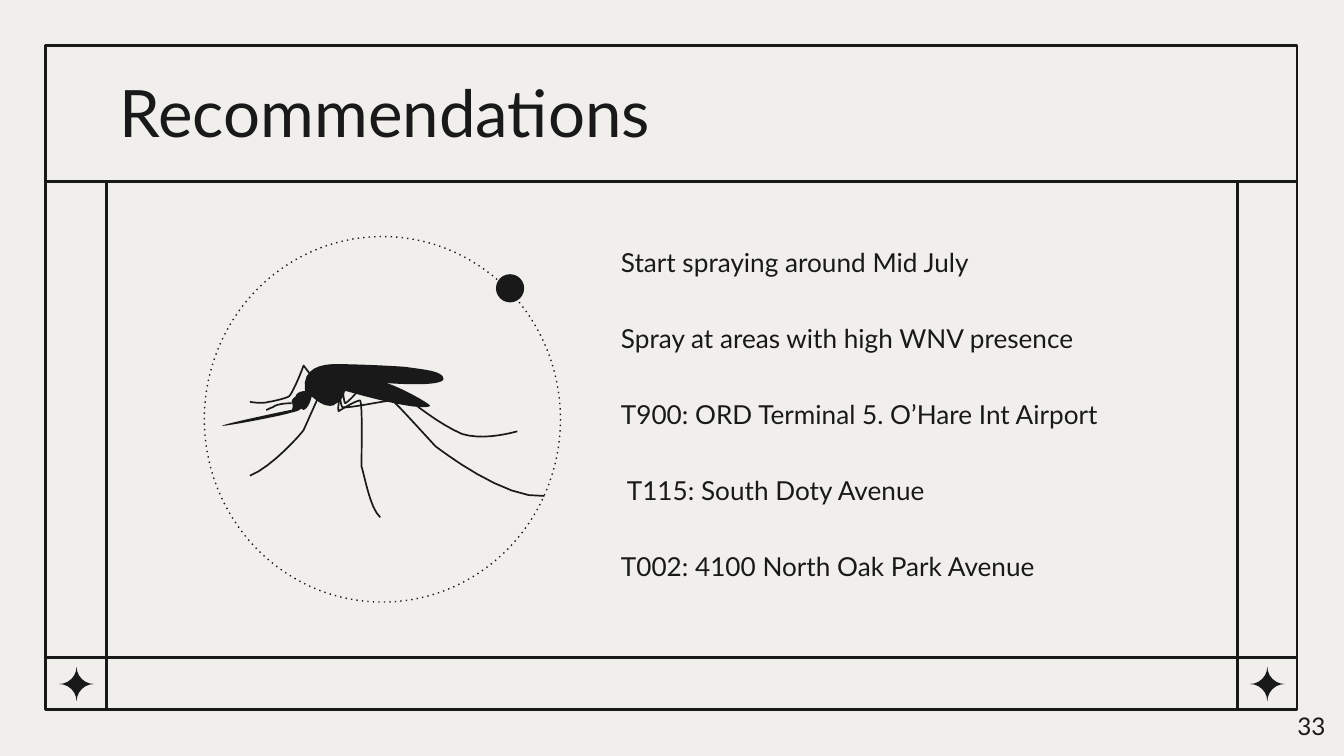
from lxml.etree import SubElement
from pptx import Presentation
from pptx.dml.color import RGBColor as RGB
from pptx.enum.shapes import MSO_CONNECTOR as LINK, MSO_SHAPE as FORM
from pptx.enum.text import MSO_ANCHOR as ANCHOR, MSO_AUTO_SIZE as FIT, PP_ALIGN as ALIGN
from pptx.oxml.ns import qn
from pptx.util import Inches, Pt

HEX = {"paper": "F1EFEC", "ink": "191919"}
INK = RGB.from_string(HEX["ink"])
WIDE = 10
HIGH = WIDE * 9 / 16
COLS = [0.34, 0.79, 9.21, 9.65]
ROWS = [0.34, 1.35, 4.89, 5.28]


def write(shape, box, lines, size, align=ALIGN.LEFT, anchor=ANCHOR.TOP, gap=0):
    shape.left, shape.top, shape.width, shape.height = map(Inches, box)
    frame = shape.text_frame
    frame.word_wrap = True
    frame.auto_size = FIT.NONE
    frame.vertical_anchor = anchor
    frame.margin_left = frame.margin_right = Inches(0.1)
    frame.margin_top = frame.margin_bottom = Inches(0.1)
    frame.text = "\n".join(lines)
    for spot, para in enumerate(frame.paragraphs):
        props = para._p.get_or_add_pPr()
        props.set("marL", "0")
        props.set("indent", "0")
        SubElement(props, qn("a:buNone"))
        para.alignment = align
        para.space_before = Pt(gap if spot else 0)
        for run in para.runs:
            run.font.name = "Lato"
            run.font.size = Pt(size)
            run.font.color.rgb = INK


def trace(shapes, curve, closed):
    nums = [float(num) * Inches(1) for num in curve.split()]
    knots = list(zip(nums[::2], nums[1::2]))
    dots = []
    for at in range(0, len(knots) - 1, 3):
        a, b, c, d = knots[at:at + 4]
        for step in range(1, 9):
            t = step / 8
            u = 1 - t
            dots.append([u**3 * i + 3 * u * u * t * j + 3 * u * t * t * k + t**3 * m
                         for i, j, k, m in zip(a, b, c, d)])
    pen = shapes.build_freeform(*knots[0])
    pen.add_line_segments(dots, close=closed)
    shape = pen.convert_to_shape()
    shape.shadow.inherit = False
    return shape


deck = Presentation()
deck.slide_width, deck.slide_height = Inches(WIDE), Inches(HIGH)
slide = deck.slides.add_slide(deck.slide_layouts[1])
slide.background.fill.solid()
slide.background.fill.fore_color.rgb = RGB.from_string(HEX["paper"])
shapes = slide.shapes

write(shapes.title, (COLS[1], 0.59, 8.43, 0.47), ["Recommendations"], 35,
      anchor=ANCHOR.MIDDLE)
advice = [
    "Start spraying around Mid July",
    "Spray at areas with high WNV presence",
    "T900: ORD Terminal 5. O’Hare Int Airport",
    " T115: South Doty Avenue",
    "T002: 4100 North Oak Park Avenue",
]
write(slide.placeholders[1], (4.52, 1.73, 4.29, 2.78), advice, 14, gap=24)

rules = [(COLS[0], row, COLS[3], row) for row in ROWS[1:3]]
rules += [(col, top, col, end) for col in COLS[1:3]
          for top, end in zip(ROWS[1:], ROWS[2:])]
for ends in rules:
    rule = shapes.add_connector(LINK.STRAIGHT, *map(Inches, ends))
    rule.line.color.rgb = INK
    rule.line.width = Pt(1.5)
    SubElement(rule._element.spPr, qn("a:effectLst"))

outlines = [
    (FORM.RECTANGLE, (COLS[0], ROWS[0], COLS[3] - COLS[0], ROWS[3] - ROWS[0]), 1.5),
    (FORM.OVAL, (1.52, 1.76, 2.65, 2.72), 0.75),
]
for form, box, width in outlines:
    ring = shapes.add_shape(form, *map(Inches, box))
    ring.shadow.inherit = False
    ring.fill.background()
    ring.line.color.rgb = INK
    ring.line.width = Pt(width)
SubElement(ring._element.spPr.find(qn("a:ln")), qn("a:prstDash")).set("val", "dot")

solids = [
    (FORM.PLAQUE, (0.44, 4.96, 0.26, 0.26)),
    (FORM.PLAQUE, (9.3, 4.96, 0.26, 0.26)),
    (FORM.OVAL, (3.69, 2.04, 0.21, 0.21)),
]
marks = []
for form, box in solids:
    mark = shapes.add_shape(form, *map(Inches, box))
    mark.shadow.inherit = False
    if form == FORM.PLAQUE:
        mark.adjustments[0] = 0.5
    marks.append(mark)

body = """2.49 2.71 2.41 2.71 2.24 2.73 2.27 2.91 2.27 2.91 2.21 2.91 2.2 2.95
2.2 2.95 2.17 2.97 2.17 2.99 2.18 3.01 2.18 3.04 2.17 3.05
2.16 3.05 1.64 3.16 1.65 3.17 1.7 3.17 2.12 3.09 2.17 3.07
2.23 3.06 2.24 3.04 2.24 3.04 2.24 3.04 2.25 3.05 2.26 3.05
2.27 3.05 2.3 3.03 2.32 2.95 2.32 2.95 2.39 3.02 2.45 3.02
2.47 3.02 2.48 3.02 2.49 3.01 2.57 2.97 2.56 2.91 2.57 2.91
2.58 2.91 2.98 3.03 3.14 3.03 3.17 3.03 3.19 3.03 3.2 3.02
3.21 3.01 2.96 2.87 2.87 2.85 2.87 2.85 2.98 2.86 3.09 2.86
3.2 2.86 3.3 2.85 3.3 2.82 3.3 2.76 3.15 2.75 3.01 2.73
2.89 2.72 2.6 2.71 2.54 2.71 2.53 2.71 2.51 2.71 2.49 2.71"""
legs = [
    "2.39 2.91 2.39 2.91 2.26 3.2 2.26 3.2 2.25 3.22 2.02 3.48 1.86 3.54",
    """2.32 2.8 2.32 2.8 2.26 2.72 2.26 2.72 2.23 2.8 2.17 2.94 2.15 2.95
    2.14 2.96 2.02 2.99 2 2.99 1.97 3 1.92 3 1.86 2.99""",
    """2.53 2.92 2.53 2.96 2.51 3.04 2.52 3.06 2.6 3.01 2.66 2.98 2.68 2.98
    2.7 3 2.69 3.4 2.69 3.47 2.71 3.52 2.75 3.78 2.83 3.85""",
    """2.53 2.94 2.53 2.97 2.54 3.03 2.55 3.03 2.6 3.04 2.86 2.98 2.92 2.98
    2.95 3 3.22 3.3 3.24 3.32 3.28 3.35 3.76 3.72 4.05 3.69""",
    "3.05 2.98 3.05 2.98 3.27 3.16 3.44 3.23 3.57 3.27 3.74 3.24 3.85 3.21",
    "2.17 3 2.17 3 2.06 3 2.03 3.03 2 3.04 1.99 3.05 1.98 3.05",
    "2.55 2.92 2.56 2.95 2.56 3 2.57 3 2.59 2.99 2.63 2.95 2.68 2.89",
]
group = shapes.add_group_shape()
marks.append(trace(group.shapes, body, True))
for curve in legs:
    leg = trace(group.shapes, curve, False)
    leg.fill.background()
    leg.line.color.rgb = INK
    leg.line.width = Pt(0.9)

for mark in marks:
    mark.fill.solid()
    mark.fill.fore_color.rgb = INK
    mark.line.fill.background()

page = (9.36, 5.19, 0.6, 0.43)
write(shapes.add_textbox(*map(Inches, page)), page, ["33"], 13, ALIGN.RIGHT)

deck.save("out.pptx")
